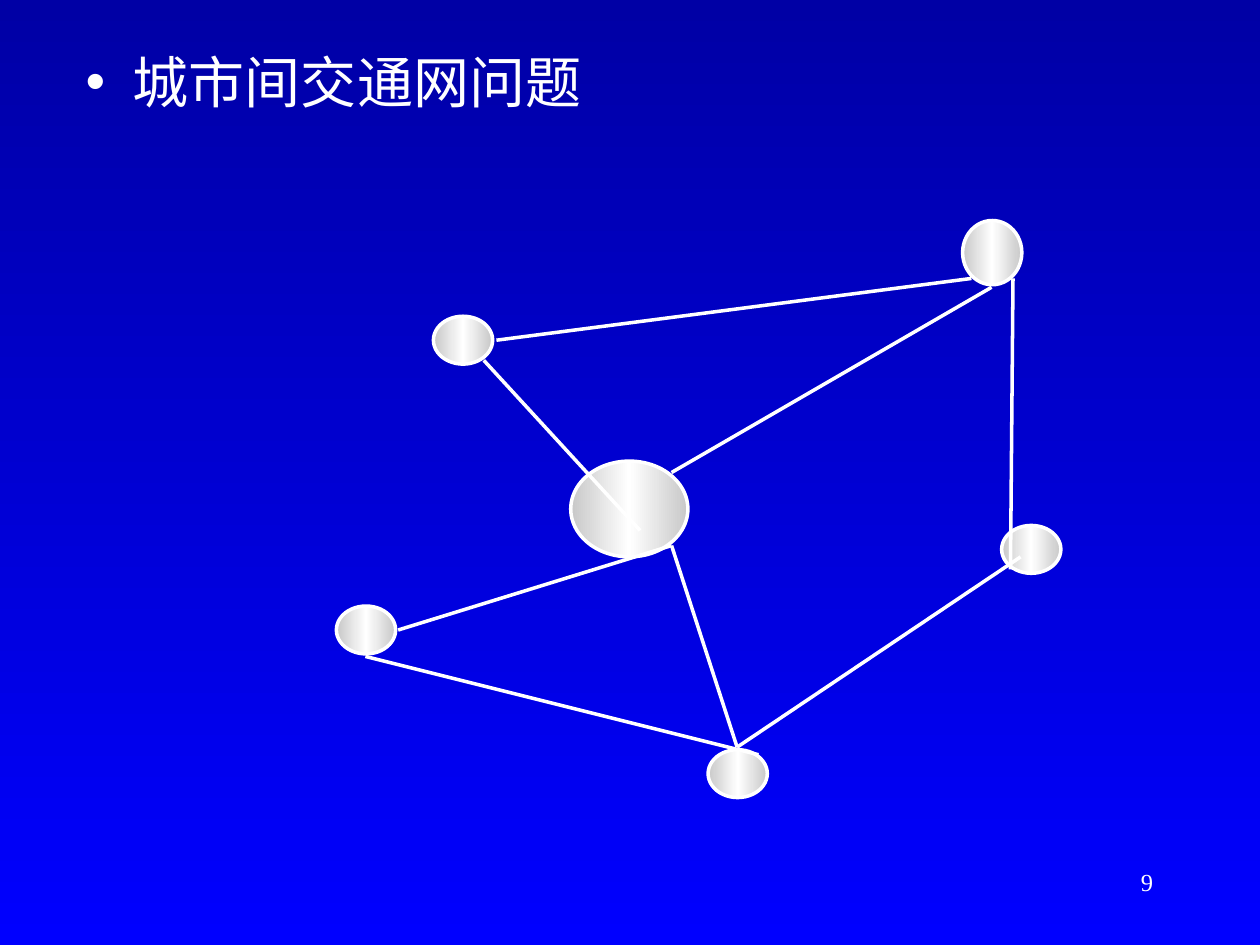
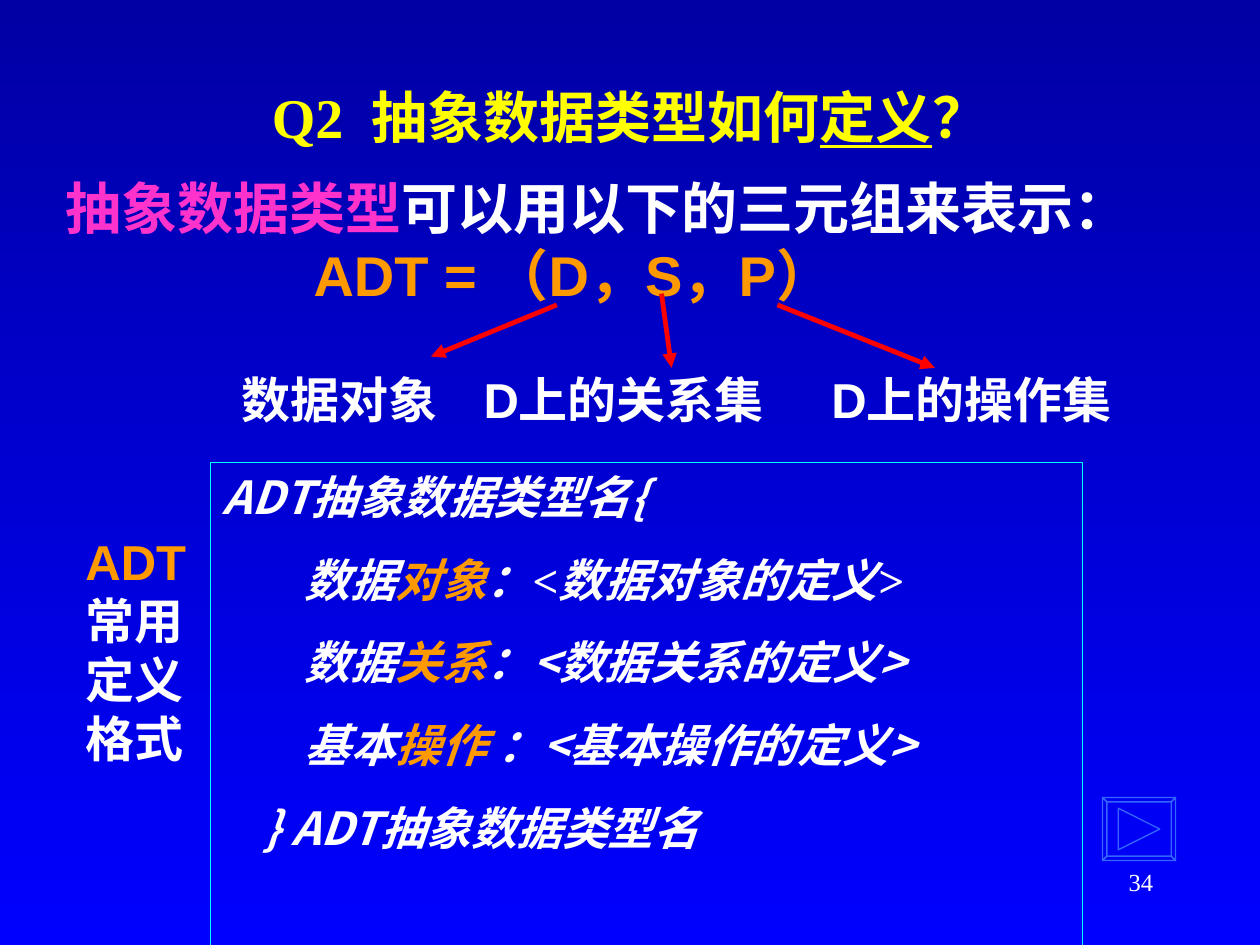
from copy import deepcopy

from pptx import Presentation
from pptx.dml.color import RGBColor
from pptx.enum.shapes import MSO_CONNECTOR as Connector, MSO_SHAPE as Preset
from pptx.enum.text import MSO_ANCHOR as Anchor, MSO_AUTO_SIZE as AutoSize, PP_ALIGN as Align
from pptx.oxml.ns import qn
from pptx.oxml.xmlchemy import OxmlElement
from pptx.util import Inches, Pt

# Shared look
NAVY = RGBColor(0x00, 0x00, 0xA5)
BLUE = RGBColor(0x00, 0x00, 0xFF)
WHITE = RGBColor(0xFF, 0xFF, 0xFF)
SILVER = RGBColor(0xC8, 0xC8, 0xC8)
YELLOW = RGBColor(0xFF, 0xFF, 0x00)
PINK = RGBColor(0xFF, 0x33, 0xCC)
ORANGE = RGBColor(0xFF, 0x99, 0x00)
CYAN = RGBColor(0x00, 0xFF, 0xFF)
RED = RGBColor(0xFF, 0x00, 0x00)
BUTTON_BLUE = RGBColor(0x33, 0x66, 0xFF)
SERIF, SANS, HAN = "Times New Roman", "Arial", "Noto Sans CJK SC"

# The slide is a grid of 100 columns by 75 rows
SLIDE_WIDTH, SLIDE_HEIGHT = Inches(10), Inches(7.5)
COLUMN, ROW = SLIDE_WIDTH / 100, SLIDE_HEIGHT / 75


def cells(*values):
    """Turn alternating columns and rows into lengths."""
    return [round(v * (ROW if i % 2 else COLUMN)) for i, v in enumerate(values)]


def paint_gradient(fill, element, colours, angle):
    fill.gradient()
    fill.gradient_angle = angle
    stop_list = next(element.iter(qn("a:gsLst")))
    while len(stop_list) < len(colours):
        stop_list.append(deepcopy(stop_list[0]))
    for i, (stop, colour) in enumerate(zip(fill.gradient_stops, colours)):
        stop.color.rgb = colour
        stop.position = i / (len(colours) - 1)


def set_line(shape, colour, points):
    shape.line.color.rgb = colour
    shape.line.width = Pt(points)


def format_run(run, size, colour, font, bold=False, italic=False):
    run.font.size, run.font.name = Pt(size), font
    run.font.bold, run.font.italic = bold, italic
    run.font.color.rgb = colour
    east_asian = OxmlElement("a:ea")
    east_asian.set("typeface", HAN)
    run.font._element.append(east_asian)


def write(frame, lines, size, font, gap=0, indents=(), align=Align.LEFT, **style):
    """Each line is a list of (text, colour) or (text, colour, font) pieces."""
    frame.word_wrap, frame.auto_size = True, AutoSize.NONE
    for i, pieces in enumerate(lines):
        paragraph = frame.add_paragraph() if i else frame.paragraphs[0]
        paragraph.alignment = align
        paragraph.space_before = Pt(gap if i else 0)
        if indents:
            properties = paragraph._p.get_or_add_pPr()
            properties.set("marL", str(cells(indents[i])[0]))
            properties.set("indent", "0")
        for text, colour, *own_font in pieces:
            run = paragraph.add_run()
            run.text = text
            format_run(run, size, colour, own_font[0] if own_font else font, **style)


def add_text(slide, place, lines, size, font, **options):
    box = slide.shapes.add_textbox(*cells(*place))
    write(box.text_frame, lines, size, font, **options)


def place_holder(holder, place):
    holder.left, holder.top, holder.width, holder.height = cells(*place)
    return holder.text_frame


def add_link(slide, ends, colour, points, arrow=False):
    link = slide.shapes.add_connector(Connector.STRAIGHT, *cells(*ends))
    set_line(link, colour, points)
    if arrow:
        head = OxmlElement("a:tailEnd")
        head.set("type", "triangle")
        link.line._get_or_add_ln().append(head)
    link._element.spPr.append(OxmlElement("a:effectLst"))


def add_city(slide, place):
    city = slide.shapes.add_shape(Preset.OVAL, *cells(*place))
    city.shadow.inherit = False
    paint_gradient(city.fill, city._element, [SILVER, WHITE, SILVER], 0)
    set_line(city, WHITE, 2)


def add_next_button(slide, left, top, right, bottom, bevel):
    outer = [(left, top), (right, top), (right, bottom), (left, bottom)]
    inner = [(left + bevel, top + bevel), (right - bevel, top + bevel),
             (right - bevel, bottom - bevel), (left + bevel, bottom - bevel)]
    sides = [[outer[i], outer[(i + 1) % 4], inner[(i + 1) % 4], inner[i]] for i in range(4)]
    middle = (top + bottom) / 2
    triangle = [(left + 1.25, middle - 1.65), (left + 4.55, middle), (left + 1.25, middle + 1.65)]
    outlines = [[cells(*point) for point in outline] for outline in [outer, *sides, triangle]]

    builder = slide.shapes.build_freeform(*outlines[0][0])
    for outline in outlines:
        builder.move_to(*outline[0])
        builder.add_line_segments(outline[1:], close=True)
    button = builder.convert_to_shape()
    button.shadow.inherit = False
    button.fill.background()
    set_line(button, BUTTON_BLUE, 0.75)


def add_page_number(slide, number):
    add_text(slide, (71.7, 68.3, 20.8, 5), [[(number, WHITE)]], 14, SERIF, align=Align.RIGHT)


def build_city_network(prs):
    slide = prs.slides.add_slide(prs.slide_layouts[1])
    add_page_number(slide, "9")
    heading, topic = slide.placeholders
    heading._element.getparent().remove(heading._element)
    write(place_holder(topic, (5.8, 3.3, 85, 65)), [[("城市间交通网问题", WHITE)]], 32, SERIF)

    # Cities: five towns and the hub
    town = (4.7, 3.8)
    for left, top, *size in [(34.4, 25.1, *town), (26.7, 48.1, *town), (79.5, 41.7, *town),
                             (76.4, 17.5, 4.7, 5.1), (56.2, 59.5, *town),
                             (45.3, 36.6, 9.3, 7.6)]:
        add_city(slide, (left, top, *size))

    # Roads
    hub_south_east, south_town = (53.3, 43.3), (58.5, 59.3)
    for start, end in [((39.4, 27), (77.1, 22.1)), ((80.4, 22.1), (80.2, 45.2)),
                       ((50.8, 42.1), (38.4, 28.6)), (hub_south_east, (31.6, 50)),
                       ((29, 52.1), (60.2, 59.9)), (south_town, (81, 44.2)),
                       ((53.3, 37.5), (78.7, 22.8)), (hub_south_east, south_town)]:
        add_link(slide, (*start, *end), WHITE, 2)


def build_adt_definition(prs):
    slide = prs.slides.add_slide(prs.slide_layouts[5])
    add_page_number(slide, "34")
    question = place_holder(slide.shapes.title, (7.5, 6.7, 85, 5))
    question.vertical_anchor = Anchor.MIDDLE
    pieces = [("Q2  抽象数据类型如何", YELLOW), ("定义", YELLOW), ("？", YELLOW)]
    write(question, [pieces], 32, SERIF, align=Align.CENTER, bold=True)
    question.paragraphs[0].runs[1].font.underline = True

    # The triple and what its members mean
    add_text(slide, (4.2, 13.3, 91.7, 12),
             [[("抽象数据类型", PINK), ("可以用以下的三元组来表示：", WHITE)],
              [("ADT = （D，S，P）", ORANGE)]], 32, SANS, indents=(0, 19.7), bold=True)
    for left, width, meaning in [(18.2, 18.5, "数据对象"), (37.4, 27, "D上的关系集"),
                                 (65, 27, "D上的操作集")]:
        add_text(slide, (left, 28.8, width, 5.5), [[(meaning, WHITE)]], 28, SANS, bold=True)

    # Definition format
    panel = slide.shapes.add_shape(Preset.RECTANGLE, *cells(16.7, 36.7, 69.2, 44.7))
    panel.shadow.inherit = False
    panel.fill.background()
    set_line(panel, CYAN, 0.75)
    panel.text_frame.vertical_anchor = Anchor.TOP
    write(panel.text_frame,
          [[("ADT抽象数据类型名{", WHITE)],
           [("数据", WHITE), ("对象", ORANGE), ("：", WHITE), ("<数据对象的定义>", WHITE, SERIF)],
           [("数据", WHITE), ("关系", ORANGE), ("：<数据关系的定义>", WHITE)],
           [("基本", WHITE), ("操作", ORANGE), (" ：<基本操作的定义>", WHITE)],
           [("} ADT抽象数据类型", WHITE), ("名", WHITE, SERIF)]],
          26, HAN, gap=16.2, indents=(0, 6.5, 6.5, 6.5, 3.25), bold=True, italic=True)
    add_text(slide, (5.8, 41.7, 10.8, 19.7), [[("ADT", ORANGE), ("常用定义格式", WHITE)]],
             28, SANS, bold=True)

    # Arrows from the triple to the meanings
    for ends in [(44.2, 24.2, 34.2, 28.3), (52.5, 23.3, 53.3, 29.2), (61.7, 24.2, 74.2, 29.2)]:
        add_link(slide, ends, RED, 2.75, arrow=True)
    add_next_button(slide, 87.5, 63.3, 93.3, 68.3, 0.35)


def main():
    prs = Presentation()
    prs.slide_width, prs.slide_height = SLIDE_WIDTH, SLIDE_HEIGHT
    master = prs.slide_master
    paint_gradient(master.background.fill, master._element, [NAVY, BLUE], 270)
    build_city_network(prs)
    build_adt_definition(prs)
    prs.save("out.pptx")


if __name__ == "__main__":
    main()
